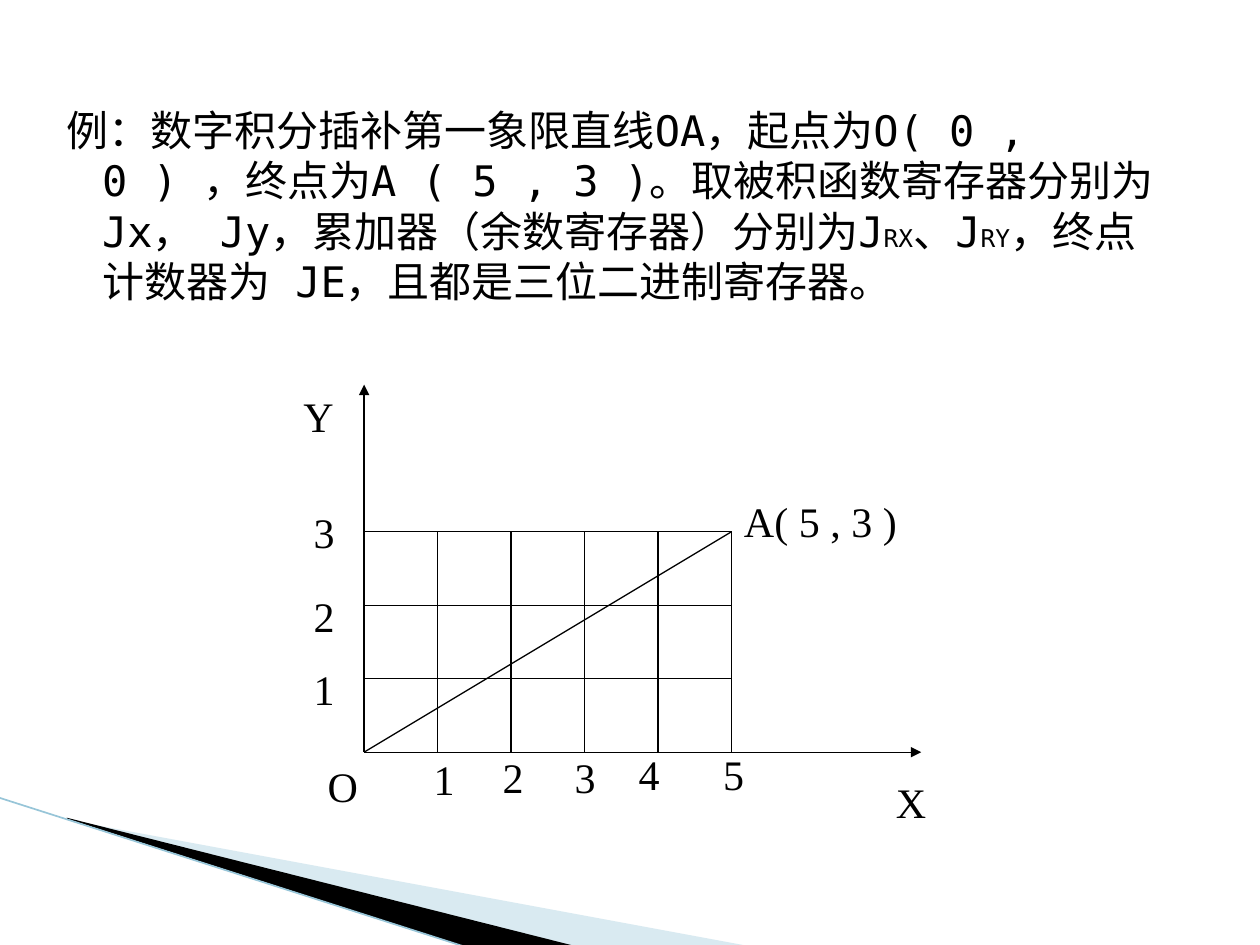
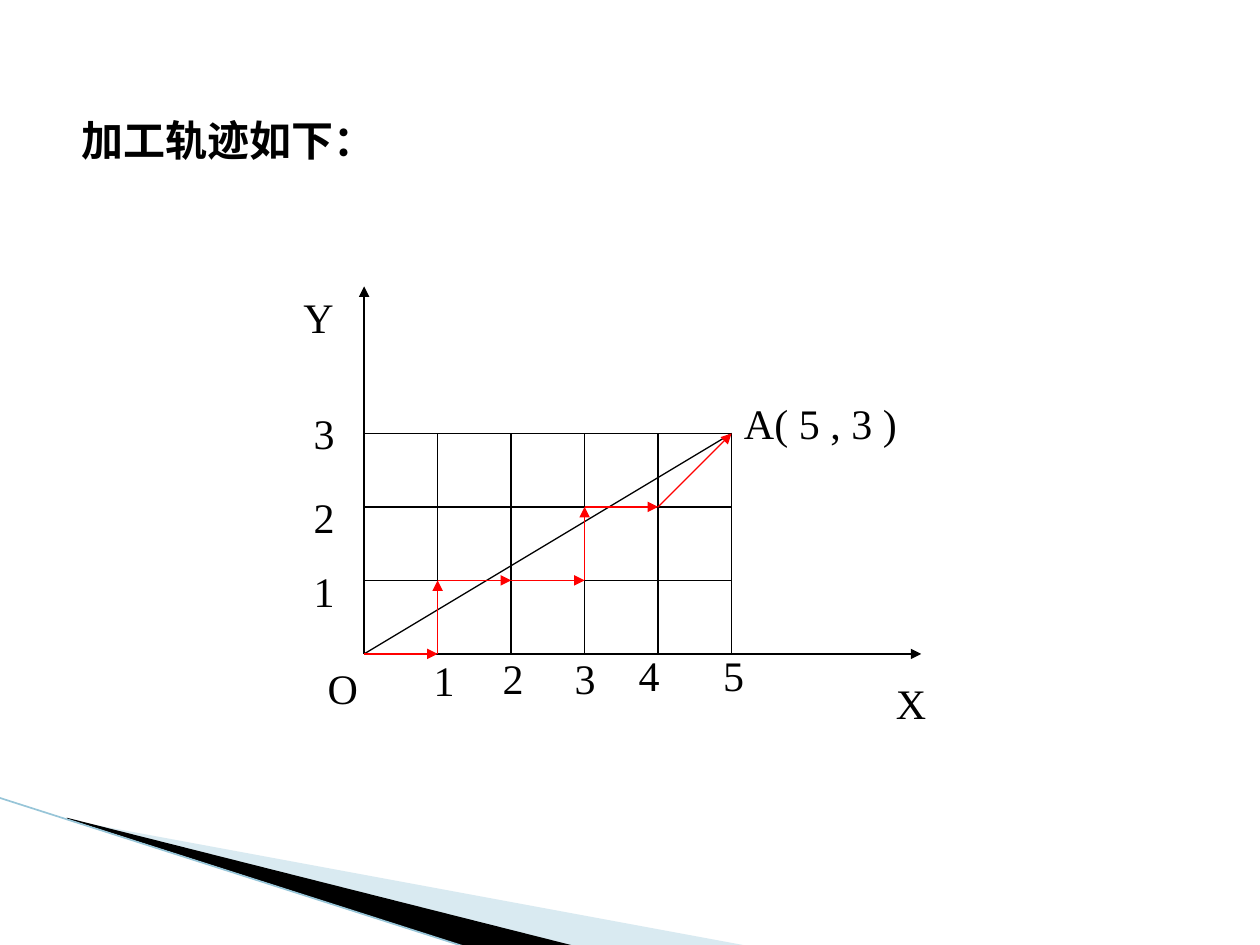
from typing import NamedTuple

from lxml import etree
from pptx import Presentation
from pptx.dml.color import RGBColor
from pptx.enum.shapes import MSO_CONNECTOR
from pptx.enum.text import MSO_ANCHOR, MSO_AUTO_SIZE, PP_ALIGN
from pptx.oxml.ns import qn
from pptx.util import Emu, Inches, Pt

STRAIGHT = MSO_CONNECTOR.STRAIGHT
TOP, LEFT = MSO_ANCHOR.TOP, PP_ALIGN.LEFT
NO_FIT, GROW = MSO_AUTO_SIZE.NONE, MSO_AUTO_SIZE.SHAPE_TO_FIT_TEXT

# Shared look
SLIDE_W, SLIDE_H = Inches(10), Inches(7.5)
CELL = SLIDE_W * 7 // 120  # one unit of the coordinate grid
COLUMNS, ROWS = 5, 3
INK, PATH_RED, PALE, EDGE = "000000", "FF0000", "A0CBDC", "97C5D8"
PROSE_FONT, LABEL_FONT = "DejaVu Sans Mono", "Times New Roman"
BODY_SIZE, SUBSCRIPT_SIZE = 24, 14
AXIS_WIDTH, EDGE_WIDTH = 0.75, 0.95


class Point(NamedTuple):
    x: float
    y: float


class Box(NamedTuple):
    """Left, top, width and height in percent of the slide."""
    left: float
    top: float
    width: float
    height: float


class Band(NamedTuple):
    corners: list[Point]
    color: str
    opacity: int


class Label(NamedTuple):
    """Text centred on a grid position; width in cells."""
    text: str
    center: Point
    width: float = 0.63


# Corner decoration, in percent of the slide
BANDS = [
    Band([Point(5.5, 86.8), Point(59.5, 100.13), Point(45.6, 100.13),
          Point(5.5, 86.67)], PALE, 40),
    Band([Point(5.3, 86.53), Point(45.7, 100.13), Point(37.2, 100.27),
          Point(5.4, 86.67)], INK, 100),
]
EDGE_ENDS = Point(-0.1, 84.4), Point(37.1, 100.27)

# Coordinate diagram, in cells from the origin, y upwards
ORIGIN = Point(0, 0)
X_END, Y_END = Point(7.58, 0), Point(0, 5)
TARGET = Point(COLUMNS, ROWS)
LABEL_HEIGHT = 0.86
LABELS = [
    Label("X", Point(7.44, -0.67), 0.75),
    Label("O", Point(-0.29, -0.46), 0.75),
    Label("Y", Point(-0.62, 4.58), 0.75),
    Label("1", Point(1.09, -0.36)),
    Label("2", Point(2.03, -0.33)),
    Label("3", Point(3.01, -0.33)),
    Label("4", Point(3.88, -0.29)),
    Label("5", Point(5.03, -0.29)),
    Label("1", Point(-0.54, 0.86)),
    Label("2", Point(-0.54, 1.86)),
    Label("3", Point(-0.54, 3)),
    Label("A( 5 , 3 )", Point(6.21, 3.14), 2.42),
]
TOOL_PATH = [ORIGIN, Point(1, 0), Point(1, 1), Point(2, 1), Point(3, 1),
             Point(3, 2), Point(4, 2), TARGET]

# Wording
EXAMPLE = [
    ("例：数字积分插补第一象限直线OA，起点为O( 0 , 0 ) ，终点为A ( 5 , 3 )。"
     "取被积函数寄存器分别为Jx， Jy，累加器（余数寄存器）分别为J", BODY_SIZE),
    ("RX", SUBSCRIPT_SIZE),
    ("、J", BODY_SIZE),
    ("RY", SUBSCRIPT_SIZE),
    ("，终点计数器为 JE，且都是三位二进制寄存器。", BODY_SIZE),
]
TRAJECTORY_TITLE = "加工轨迹如下："


def rgb(color: str) -> RGBColor:
    return RGBColor.from_string(color)


def on_slide(point: Point) -> Point:
    return Point(Emu(round(SLIDE_W * point.x / 100)),
                 Emu(round(SLIDE_H * point.y / 100)))


def add_run(paragraph, text: str, size: int, font: str, bold: bool = False) -> None:
    run = paragraph.add_run()
    run.text = text
    run.font.size, run.font.name, run.font.bold = Pt(size), font, bold
    run.font.color.rgb = rgb(INK)
    east_asian = etree.SubElement(run.font._element, qn("a:ea"))
    east_asian.set("typeface", font)


def draw_line(slide, start: Point, end: Point, color: str = INK,
              width: float = AXIS_WIDTH, arrow: bool = False) -> None:
    line = slide.shapes.add_connector(STRAIGHT, *start, *end)
    line.line.color.rgb = rgb(color)
    line.line.width = Pt(width)
    if arrow:
        head = etree.SubElement(line.line._get_or_add_ln(), qn("a:tailEnd"))
        head.set("type", "triangle")
    etree.SubElement(line._element.spPr, qn("a:effectLst"))


def draw_band(slide, band: Band) -> None:
    first, *rest = [on_slide(corner) for corner in band.corners]
    outline = slide.shapes.build_freeform(*first)
    outline.add_line_segments(rest, close=True)
    shape = outline.convert_to_shape()
    shape.shadow.inherit = False
    shape.line.fill.background()
    shape.fill.solid()
    shape.fill.fore_color.rgb = rgb(band.color)
    if band.opacity < 100:
        tint = shape._element.spPr.find(qn("a:solidFill"))[0]
        etree.SubElement(tint, qn("a:alpha")).set("val", str(band.opacity * 1000))


def draw_corner(slide) -> None:
    for band in BANDS:
        draw_band(slide, band)
    start, end = EDGE_ENDS
    draw_line(slide, on_slide(start), on_slide(end), EDGE, EDGE_WIDTH)


def place_text(placeholder, box: Box):
    """Move a placeholder and return its first paragraph."""
    placeholder.left, placeholder.top = on_slide(Point(box.left, box.top))
    placeholder.width, placeholder.height = on_slide(Point(box.width, box.height))
    frame = placeholder.text_frame
    frame.auto_size, frame.vertical_anchor = NO_FIT, TOP
    frame.word_wrap = True
    paragraph = frame.paragraphs[0]
    paragraph.alignment = LEFT
    return paragraph


class Diagram:
    """Coordinate grid whose origin is given in percent of the slide."""

    def __init__(self, slide, origin: Point) -> None:
        self.slide = slide
        self.origin = on_slide(origin)

    def at(self, point: Point) -> Point:
        return Point(Emu(round(self.origin.x + point.x * CELL)),
                     Emu(round(self.origin.y - point.y * CELL)))

    def line(self, start: Point, end: Point, color: str = INK,
             arrow: bool = False) -> None:
        draw_line(self.slide, self.at(start), self.at(end), color, arrow=arrow)

    def label(self, label: Label) -> None:
        corner = self.at(Point(label.center.x - label.width / 2,
                               label.center.y + LABEL_HEIGHT / 2))
        box = self.slide.shapes.add_textbox(
            *corner, round(label.width * CELL), round(LABEL_HEIGHT * CELL))
        box.text_frame.word_wrap = False
        box.text_frame.auto_size = GROW
        add_run(box.text_frame.paragraphs[0], label.text, BODY_SIZE, LABEL_FONT)

    def draw(self) -> None:
        for axis_end in (X_END, Y_END):
            self.line(ORIGIN, axis_end, arrow=True)
        for column in range(1, COLUMNS + 1):
            self.line(Point(column, 0), Point(column, ROWS))
        for row in range(1, ROWS + 1):
            self.line(Point(0, row), Point(COLUMNS, row))
        self.line(ORIGIN, TARGET)
        for label in LABELS:
            self.label(label)

    def trace(self, stops: list[Point]) -> None:
        for start, end in zip(stops, stops[1:]):
            self.line(start, end, PATH_RED, arrow=True)


def build_example(deck) -> None:
    slide = deck.slides.add_slide(deck.slide_layouts[1])
    title = slide.shapes.title._element
    title.getparent().remove(title)
    draw_corner(slide)
    problem = place_text(slide.placeholders[1], Box(3.1, 10.4, 91.4, 28.4))
    problem.space_before = Pt(4)
    properties = problem._p.get_or_add_pPr()
    properties.set("marL", str(Inches(0.4)))
    properties.set("indent", str(Inches(-0.28)))
    etree.SubElement(properties, qn("a:buNone"))
    for text, size in EXAMPLE:
        add_run(problem, text, size, PROSE_FONT)
    Diagram(slide, Point(28.9, 79.6)).draw()


def build_trajectory(deck) -> None:
    slide = deck.slides.add_slide(deck.slide_layouts[5])
    draw_corner(slide)
    heading = place_text(slide.shapes.title, Box(5.5, 11.47, 85, 6.53))
    add_run(heading, TRAJECTORY_TITLE, BODY_SIZE, PROSE_FONT, bold=True)
    diagram = Diagram(slide, Point(28.9, 69.2))
    diagram.draw()
    diagram.trace(TOOL_PATH)


def main() -> None:
    deck = Presentation()
    deck.slide_width, deck.slide_height = SLIDE_W, SLIDE_H
    build_example(deck)
    build_trajectory(deck)
    deck.save("out.pptx")


if __name__ == "__main__":
    main()
